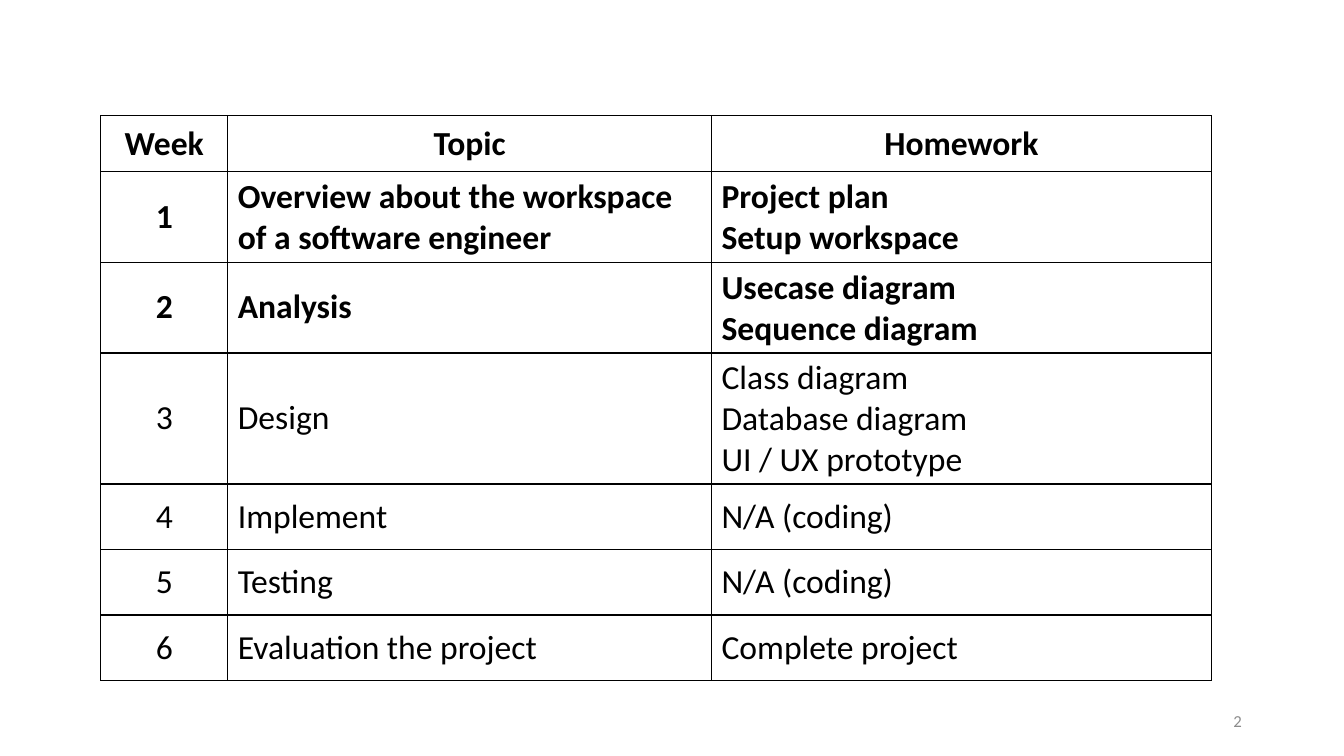
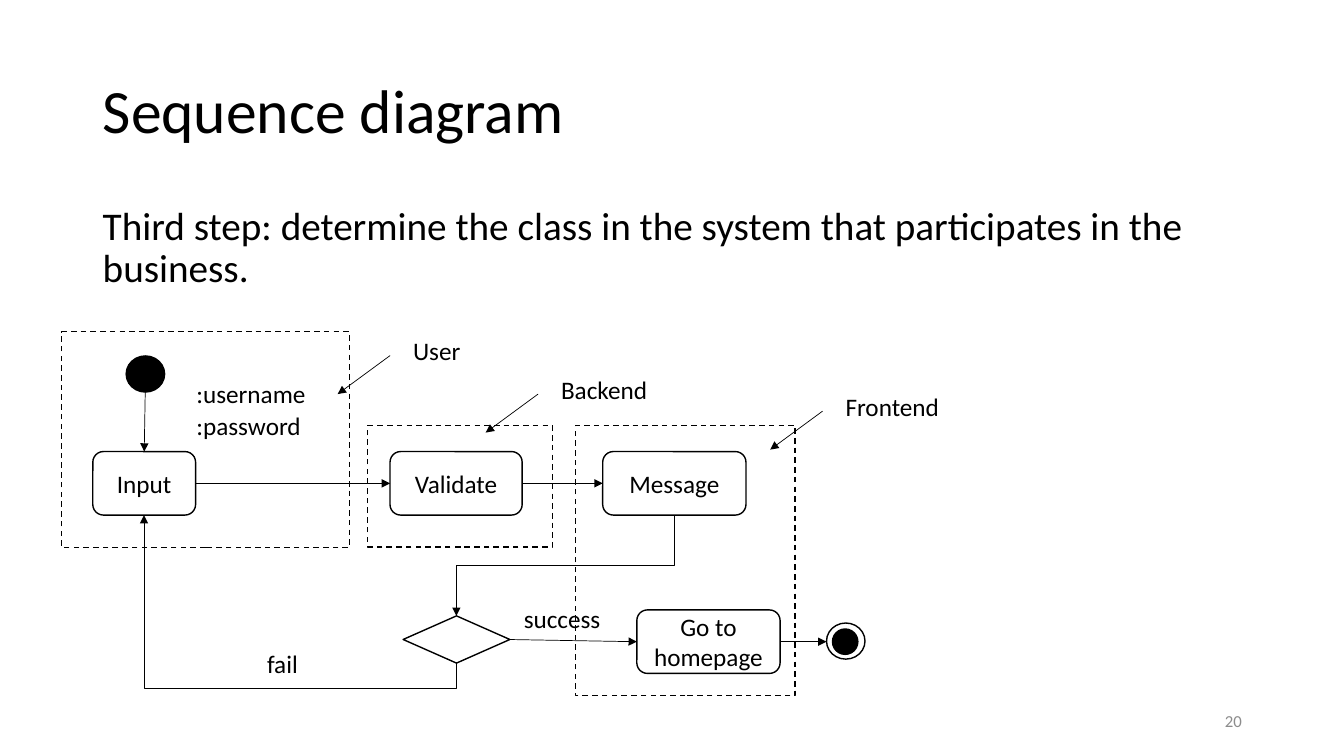
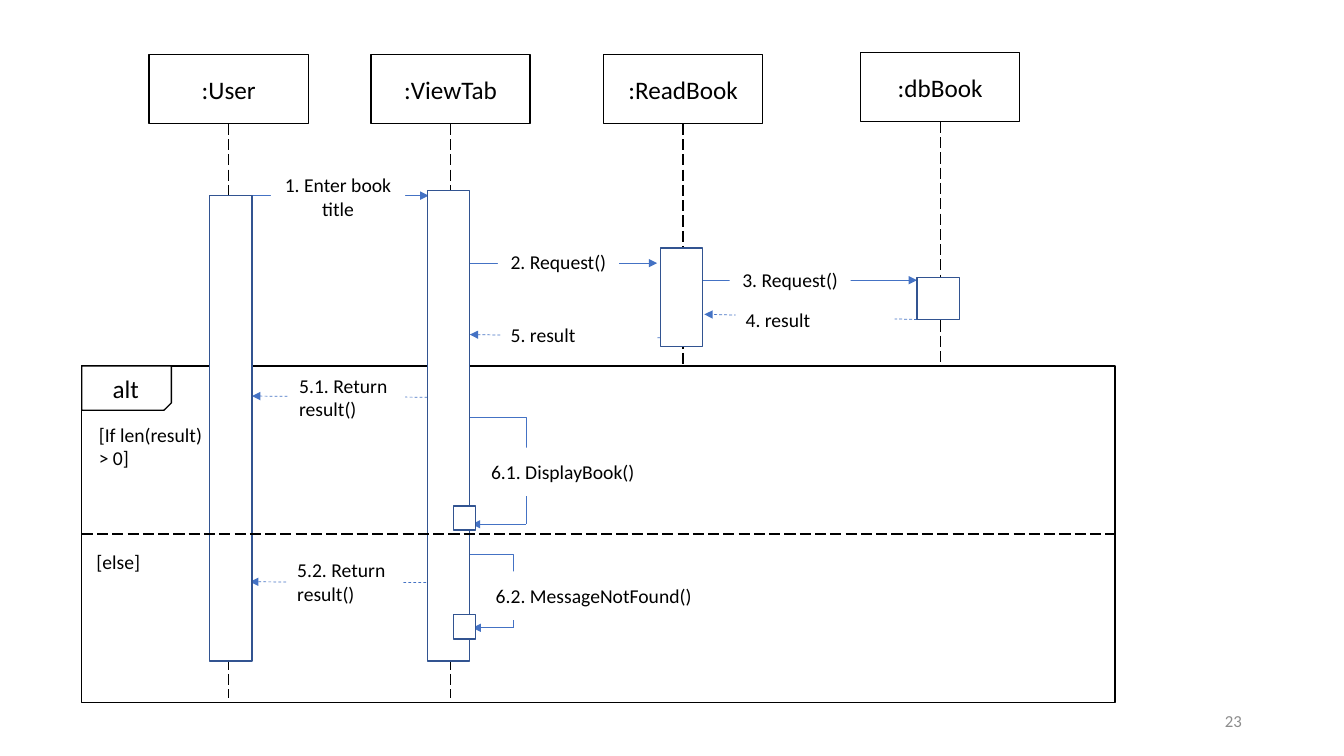
from dataclasses import dataclass

from lxml import etree
from pptx import Presentation
from pptx import util as u
from pptx.dml.color import RGBColor
from pptx.enum import dml, shapes, text
from pptx.oxml import ns


@dataclass(frozen=True)
class Theme:
    font: str = "Calibri"
    black: str = "000000"
    white: str = "FFFFFF"
    gray: str = "8C8C8C"
    blue: str = "4472C4"
    navy: str = "325491"
    title: int = 44
    body: int = 28
    table: int = 24
    label: int = 18
    message: int = 14
    number: int = 12
    outline: float = 1
    arrow: float = 0.5


THEME = Theme()
LEFT, CENTER, RIGHT = text.PP_ALIGN.LEFT, text.PP_ALIGN.CENTER, text.PP_ALIGN.RIGHT
TOP, MIDDLE = text.MSO_ANCHOR.TOP, text.MSO_ANCHOR.MIDDLE
DASH, LONG_DASH = dml.MSO_LINE.DASH, dml.MSO_LINE.LONG_DASH
KIND = shapes.MSO_SHAPE

SCHEDULE = [
    ("Week", "Topic", "Homework"),
    ("1", "Overview about the workspace of a software engineer", "Project plan\nSetup workspace"),
    ("2", "Analysis", "Usecase diagram\nSequence diagram"),
    ("3", "Design", "Class diagram\nDatabase diagram\nUI / UX prototype"),
    ("4", "Implement", "N/A (coding)"),
    ("5", "Testing", "N/A (coding)"),
    ("6", "Evaluation the project", "Complete project"),
]
SCHEDULE_WIDTHS = (3.2, 12.19, 12.6)
SCHEDULE_HEIGHTS = (1.4, 1.8) + (1.65,) * 5
CURRENT_WEEK = 2

STEP_TITLE = "Sequence diagram"
STEP_BODY = "Third step: determine the class in the system that participates in the business."
ACTIVITIES = {
    "Input": (2.34, 11.38, 2.59, 1.6),
    "Validate": (9.83, 11.38, 3.33, 1.6),
    "Message": (15.19, 11.38, 3.61, 1.6),
    "Go to homepage": (16.05, 15.37, 3.61, 1.6),
}
DECISION = (10.16, 15.52, 2.69, 1.19)
START_DOT = (3.18, 8.97, 0.97, 0.91)
END_RING = (20.83, 15.7, 0.97, 0.91)
END_DOT = (20.98, 15.85, 0.64, 0.64)
FLOW_LABELS = [
    (":username", (4.7, 9.42, 4.47, 1.02)),
    (":password", (4.7, 10.21, 4.47, 1.02)),
    ("success", (12.95, 15.09, 2.69, 1.02)),
    ("fail", (6.48, 16.21, 2.69, 1.02)),
]
FLOW_ELBOWS = [
    ((11.5, 16.71), (3.63, 12.98), -0.17),
    ((17, 12.98), (11.5, 15.52), 0.5),
]
ZONES = [
    ("User", (1.55, 8.36, 7.26, 5.44), (10.16, 8.33)),
    ("Backend", (9.27, 10.72, 4.65, 3.07), (13.89, 9.3)),
    ("Frontend", (14.5, 10.72, 5.54, 6.81), (21.06, 9.73)),
]

LIFELINES = [
    (":User", 3.76, 1.37, 17.58),
    (":ViewTab", 9.35, 1.37, 17.58),
    (":ReadBook", 15.21, 1.37, 9.27),
    (":dbBook", 21.69, 1.32, 9.22),
]
REQUESTS = [
    ("1. Enter book title", (6.35, 4.93), (10.8, 4.93), (6.83, 4.34, 3.38)),
    ("2. Request()", (11.46, 6.63), (16.56, 6.63), (12.55, 5.99, 3.05)),
    ("3. Request()", (17.32, 7.06), (23.11, 7.06), (18.39, 6.45, 3.05)),
]
REPLIES = [
    ("4. result", (23.11, 8.05), (17.75, 7.92), (18.54, 7.44, 4.01)),
    ("5. result", (16.64, 8.51), (11.84, 8.43), (12.62, 7.82, 3.94)),
    ("5.1. Return result()", (10.77, 10.01), (6.35, 9.98), (7.29, 9.4, 2.92)),
    ("5.2. Return result()", (10.74, 14.68), (6.3, 14.66), (7.24, 14.05, 2.92)),
]
SELF_CALLS = [
    ("6.1. DisplayBook()", (11.76, 8.94), (13.26, 13.21), 0.37, 11.89, (12.09, 11.28, 4.19)),
    ("6.2. MessageNotFound()", (11.58, 12.12), (12.95, 15.82), 0.5, 11.91, (12.22, 14.4, 5.49)),
]
ALT_FRAME = (2.06, 9.22, 26.04, 8.48)
ALT_TAG = (2.06, 9.22, 2.26, 1.12)
ALT_TEXTS = [
    ("alt", (2.59, 9.27, 1.88, 1.02), THEME.label),
    ("[If len(result) > 0]", (2.24, 10.52, 3.3, 1.45), THEME.message),
    ("[else]", (2.18, 13.72, 2.79, 0.86), THEME.message),
]
ACTIVATIONS = [
    (5.28, 4.93, 1.07, 11.73),
    (10.77, 4.8, 1.07, 11.86),
    (16.64, 6.25, 1.07, 2.49),
    (23.11, 6.99, 1.07, 1.07),
    (11.43, 12.75, 0.56, 0.61),
    (11.43, 15.49, 0.56, 0.61),
]


def assign(target, values):
    for name, value in values.items():
        setattr(target, name, value)


def child(parent, tag, **attributes):
    return etree.SubElement(parent, ns.qn(tag), attributes)


def write(frame, words, size, align=LEFT, color=THEME.black, bold=False, spacing=1):
    frame.text = words
    for paragraph in frame.paragraphs:
        assign(paragraph, {"alignment": align, "line_spacing": spacing})
        assign(paragraph.font, {"name": THEME.font, "size": u.Pt(size), "bold": bold})
        paragraph.font.color.rgb = RGBColor.from_string(color)


def add_text(slide, words, box, size, anchor=TOP, **style):
    shape = slide.shapes.add_textbox(*map(u.Cm, box))
    assign(shape.text_frame, {"word_wrap": True, "vertical_anchor": anchor})
    write(shape.text_frame, words, size, **style)


def style_line(line, color, width, dash=None):
    line.color.rgb = RGBColor.from_string(color)
    assign(line, {"width": u.Pt(width), "dash_style": dash})


def add_box(slide, kind, box, fill=THEME.white, line=THEME.black, dash=None,
            words="", size=THEME.label, align=CENTER, anchor=MIDDLE):
    shape = slide.shapes.add_shape(kind, *map(u.Cm, box))
    shape.shadow.inherit = False
    if fill:
        shape.fill.solid()
        shape.fill.fore_color.rgb = RGBColor.from_string(fill)
    else:
        shape.fill.background()
    if line:
        style_line(shape.line, line, THEME.outline, dash)
    else:
        shape.line.fill.background()
    if words:
        assign(shape.text_frame, {"word_wrap": True, "vertical_anchor": anchor})
        write(shape.text_frame, words, size, align)
    return shape


def add_line(slide, start, end, color=THEME.black, width=THEME.arrow, dash=None,
             head=True, kind=shapes.MSO_CONNECTOR.STRAIGHT):
    connector = slide.shapes.add_connector(kind, *map(u.Cm, start + end))
    style_line(connector.line, color, width, dash)
    properties = connector._element.spPr
    if head:
        child(properties.find(ns.qn("a:ln")), "a:tailEnd", type="triangle")
    child(properties, "a:effectLst")
    return connector


def add_elbow(slide, start, end, bend, **style):
    middle_x, middle_y = (start[0] + end[0]) / 2, (start[1] + end[1]) / 2
    half_x, half_y = (end[0] - start[0]) / 2, (end[1] - start[1]) / 2
    connector = add_line(slide, (middle_x - half_y, middle_y + half_x),
                         (middle_x + half_y, middle_y - half_x),
                         kind=shapes.MSO_CONNECTOR.ELBOW, **style)
    properties = connector._element.spPr
    properties.find(ns.qn("a:xfrm")).set("rot", "5400000")
    guides = properties.find(ns.qn("a:prstGeom")).find(ns.qn("a:avLst"))
    child(guides, "a:gd", name="adj1", fmla=f"val {round(bend * 100000)}")


def join(slide, source, target):
    connector = add_line(slide, (0, 0), (1, 1))
    connector.begin_connect(source, 3)
    connector.end_connect(target, 1)


def add_slide(presentation, number):
    slide = presentation.slides.add_slide(presentation.slide_layouts[6])
    add_text(slide, number, (23.93, 17.65, 7.62, 1.02), THEME.number, MIDDLE,
             align=RIGHT, color=THEME.gray)
    return slide


def border(cell):
    properties = cell._tc.get_or_add_tcPr()
    for index, side in enumerate(("a:lnL", "a:lnR", "a:lnT", "a:lnB")):
        edge = etree.Element(ns.qn(side), w=str(u.Pt(THEME.outline)))
        child(child(edge, "a:solidFill"), "a:srgbClr", val=THEME.black)
        properties.insert(index, edge)


def build_schedule(presentation):
    slide = add_slide(presentation, "2")
    box = (2.54, 2.92, sum(SCHEDULE_WIDTHS), sum(SCHEDULE_HEIGHTS))
    table = slide.shapes.add_table(len(SCHEDULE), len(SCHEDULE_WIDTHS), *map(u.Cm, box)).table
    assign(table, {"first_row": False, "horz_banding": False})
    for column, width in zip(table.columns, SCHEDULE_WIDTHS):
        column.width = u.Cm(width)
    for row, height in zip(table.rows, SCHEDULE_HEIGHTS):
        row.height = u.Cm(height)
    for row_index, row in enumerate(SCHEDULE):
        for column_index, words in enumerate(row):
            cell = table.cell(row_index, column_index)
            cell.fill.solid()
            cell.fill.fore_color.rgb = RGBColor.from_string(THEME.white)
            cell.vertical_anchor = MIDDLE
            centered = row_index == 0 or column_index == 0
            write(cell.text_frame, words, THEME.table, CENTER if centered else LEFT,
                  bold=row_index <= CURRENT_WEEK)
            border(cell)


def build_activity_flow(presentation):
    slide = add_slide(presentation, "20")
    add_text(slide, STEP_TITLE, (2.34, 1.02, 29.21, 3.68), THEME.title, MIDDLE, spacing=0.9)
    add_text(slide, STEP_BODY, (2.34, 5.08, 29.21, 12.09), THEME.body, spacing=0.9)
    for words, box in FLOW_LABELS:
        add_box(slide, KIND.RECTANGLE, box, line=None, words=words, align=LEFT, anchor=TOP)
    nodes = {words: add_box(slide, KIND.ROUNDED_RECTANGLE, box, words=words)
             for words, box in ACTIVITIES.items()}
    decision = add_box(slide, KIND.FLOWCHART_DECISION, DECISION)
    for box, fill in ((START_DOT, THEME.black), (END_RING, THEME.white), (END_DOT, THEME.black)):
        add_box(slide, KIND.OVAL, box, fill)

    entry = add_line(slide, (3.66, 9.88), (3.63, 11.38))
    entry.end_connect(nodes["Input"], 0)
    finish = add_line(slide, (19.66, 16.17), (20.83, 16.17))
    finish.begin_connect(nodes["Go to homepage"], 3)
    join(slide, nodes["Input"], nodes["Validate"])
    join(slide, nodes["Validate"], nodes["Message"])
    join(slide, decision, nodes["Go to homepage"])
    for start, end, bend in FLOW_ELBOWS:
        add_elbow(slide, start, end, bend)

    for words, box, (left, top) in ZONES:
        add_box(slide, KIND.RECTANGLE, box, fill=None, dash=DASH)
        add_text(slide, words, (left, top, 3, 1.02), THEME.label)
        add_line(slide, (left - 0.33, top + 0.63), (left - 1.65, top + 1.6))


def add_message_label(slide, words, place, align=CENTER):
    add_box(slide, KIND.RECTANGLE, place + (1.22,), line=None, words=words,
            size=THEME.message, align=align)


def build_book_sequence(presentation):
    slide = add_slide(presentation, "23")
    lifeline_style = {"width": THEME.outline, "dash": LONG_DASH, "head": False}
    for words, left, top, bottom in LIFELINES:
        head = add_box(slide, KIND.RECTANGLE, (left, top, 4.01, 1.75), words=words)
        center = left + 4.01 / 2
        lifeline = add_line(slide, (center, top + 1.75), (center, bottom), **lifeline_style)
        lifeline.begin_connect(head, 2)

    for messages, dash, align in ((REQUESTS, None, CENTER), (REPLIES, DASH, LEFT)):
        for words, start, end, place in messages:
            add_line(slide, start, end, THEME.blue, dash=dash)
            add_message_label(slide, words, place, align)
    for words, start, corner, bend, tip, place in SELF_CALLS:
        add_elbow(slide, start, corner, bend, color=THEME.blue, head=False)
        add_line(slide, corner, (tip, corner[1]), THEME.blue)
        add_message_label(slide, words, place)

    frame = add_box(slide, KIND.RECTANGLE, ALT_FRAME, fill=None)
    tag = add_box(slide, KIND.SNIP_1_RECTANGLE, ALT_TAG)
    tag._element.spPr.find(ns.qn("a:xfrm")).set("flipV", "1")
    for words, box, size in ALT_TEXTS:
        add_text(slide, words, box, size)
    for box in ACTIVATIONS:
        add_box(slide, KIND.RECTANGLE, box, line=THEME.navy)
    divider = add_line(slide, (2.06, 13.46), (28.1, 13.46), **lifeline_style)
    divider.begin_connect(frame, 1)
    divider.end_connect(frame, 3)


def main():
    presentation = Presentation()
    assign(presentation, {"slide_width": u.Cm(33.87), "slide_height": u.Cm(19.05)})
    build_schedule(presentation)
    build_activity_flow(presentation)
    build_book_sequence(presentation)
    presentation.save("out.pptx")


if __name__ == "__main__":
    main()
